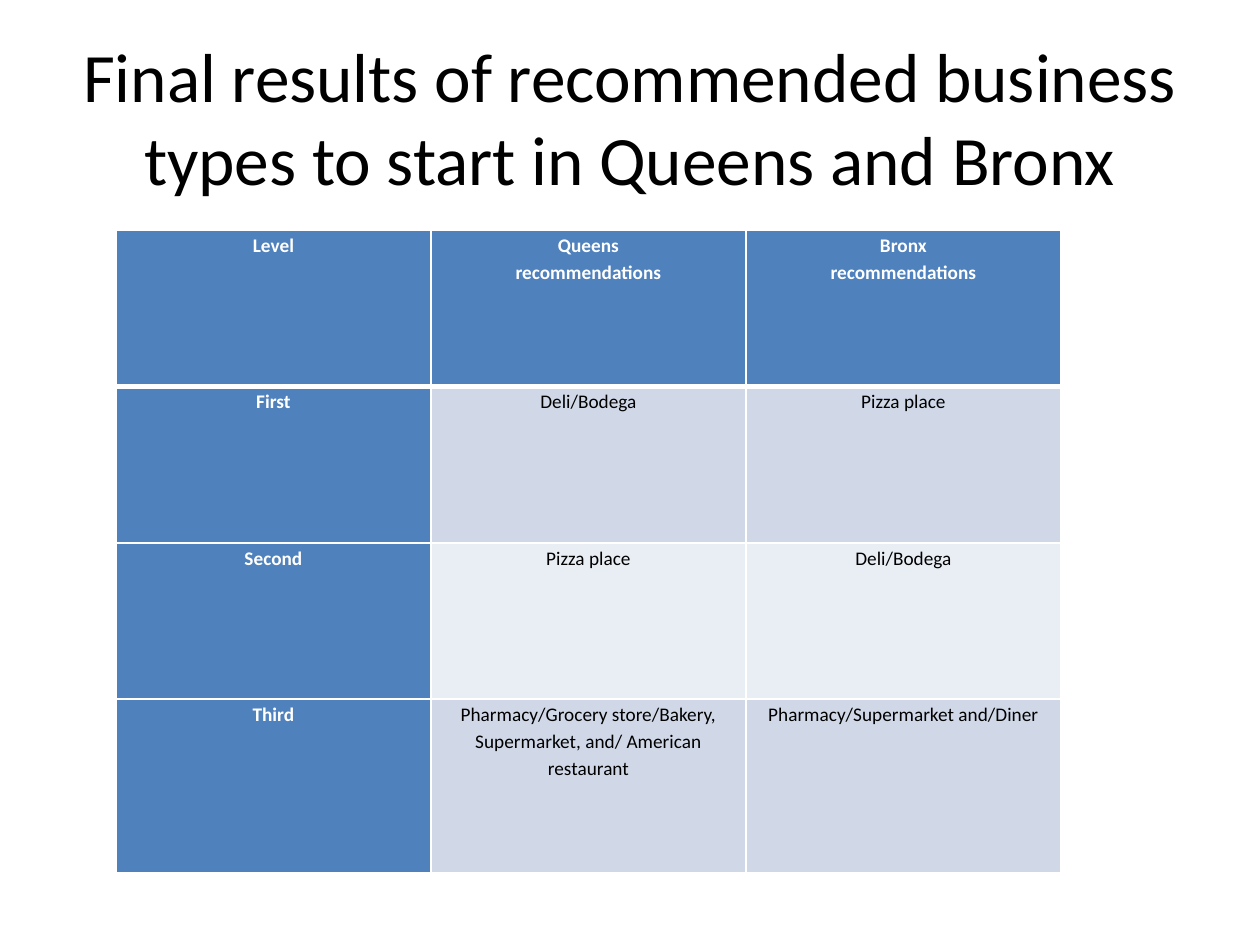
from dataclasses import dataclass

from lxml.etree import SubElement
from pptx import Presentation
from pptx.dml.color import RGBColor
from pptx.enum.text import MSO_ANCHOR, MSO_AUTO_SIZE, PP_ALIGN
from pptx.oxml.ns import qn
from pptx.util import Inches, Pt


@dataclass(frozen=True)
class Theme:
    font: str = "Calibri"
    title_size: float = 39.6
    table_size: float = 11
    dark: str = "000000"
    light: str = "FFFFFF"
    accent: str = "4F81BD"
    bands: tuple = ("D0D8E8", "E9EDF4")
    thin_line: float = 1
    thick_line: float = 3


def apply_format(target, values):
    for name, value in values.items():
        setattr(target, name, value)


class SlideBuilder:
    def __init__(self, slide, theme):
        self.slide = slide
        self.theme = theme

    def add_text(self, frame, text, size, color, bold=False, line_spacing=None):
        for index, line in enumerate(text.split("\n")):
            para = frame.add_paragraph() if index else frame.paragraphs[0]
            apply_format(para, {"alignment": PP_ALIGN.CENTER, "line_spacing": line_spacing})
            span = para.add_run()
            span.text = line
            apply_format(span.font, {"name": self.theme.font, "size": Pt(size), "bold": bold})
            span.font.color.rgb = RGBColor.from_string(color)

    def title(self, text, left, top, width, height):
        box = self.slide.shapes.title
        apply_format(box, {"left": Inches(left), "top": Inches(top),
                           "width": Inches(width), "height": Inches(height)})
        apply_format(box.text_frame, {"word_wrap": True, "auto_size": MSO_AUTO_SIZE.NONE,
                                      "vertical_anchor": MSO_ANCHOR.MIDDLE})
        self.add_text(box.text_frame, text, self.theme.title_size, self.theme.dark)

    def border(self, cell, side, width):
        line = SubElement(cell._tc.get_or_add_tcPr(), qn(f"a:ln{side}"), w=str(Pt(width)))
        fill = SubElement(line, qn("a:solidFill"))
        SubElement(fill, qn("a:srgbClr"), val=self.theme.light)

    def cell(self, cell, text, row, column):
        theme = self.theme
        is_header = row == 0 or column == 0
        apply_format(cell, {"margin_left": Inches(0.07), "margin_right": Inches(0.07),
                            "margin_top": 0, "margin_bottom": 0,
                            "vertical_anchor": MSO_ANCHOR.TOP})
        # The line under the heading row is heavier than the rest
        heavy_sides = {0: "B", 1: "T"}
        for side in "LRTB":
            heavy = side == heavy_sides.get(row)
            self.border(cell, side, theme.thick_line if heavy else theme.thin_line)
        cell.fill.solid()
        fill = theme.accent if is_header else theme.bands[(row - 1) % 2]
        cell.fill.fore_color.rgb = RGBColor.from_string(fill)
        self.add_text(cell.text_frame, text, theme.table_size,
                      theme.light if is_header else theme.dark, is_header, 1.15)

    def table(self, rows, left, top, column_width, row_heights):
        columns = len(rows[0])
        frame = self.slide.shapes.add_table(
            len(rows), columns, Inches(left), Inches(top),
            Inches(column_width * columns), Inches(sum(row_heights)))
        table = frame.table
        for column in table.columns:
            column.width = Inches(column_width)
        for row_index, (texts, height) in enumerate(zip(rows, row_heights)):
            table.rows[row_index].height = Inches(height)
            for column_index, text in enumerate(texts):
                self.cell(table.cell(row_index, column_index), text, row_index, column_index)


# Deck and page
deck = Presentation()
apply_format(deck, {"slide_width": Inches(10), "slide_height": Inches(7.5)})
page = SlideBuilder(deck.slides.add_slide(deck.slide_layouts[5]), Theme())

# Title
page.title("Final results of recommended business types to start in Queens and Bronx",
           0.5, 0.3, 9, 1.25)

# Recommendations by level
recommendations = [
    ("Level", "Queens\nrecommendations", "Bronx\nrecommendations"),
    ("First", "Deli/Bodega", "Pizza place"),
    ("Second", "Pizza place", "Deli/Bodega"),
    ("Third", "Pharmacy/Grocery store/Bakery, Supermarket, and/ American restaurant",
     "Pharmacy/Supermarket and/Diner"),
]
page.table(recommendations, 0.92, 1.83, 2.5, [1.24, 1.24, 1.24, 1.38])

deck.save("out.pptx")
